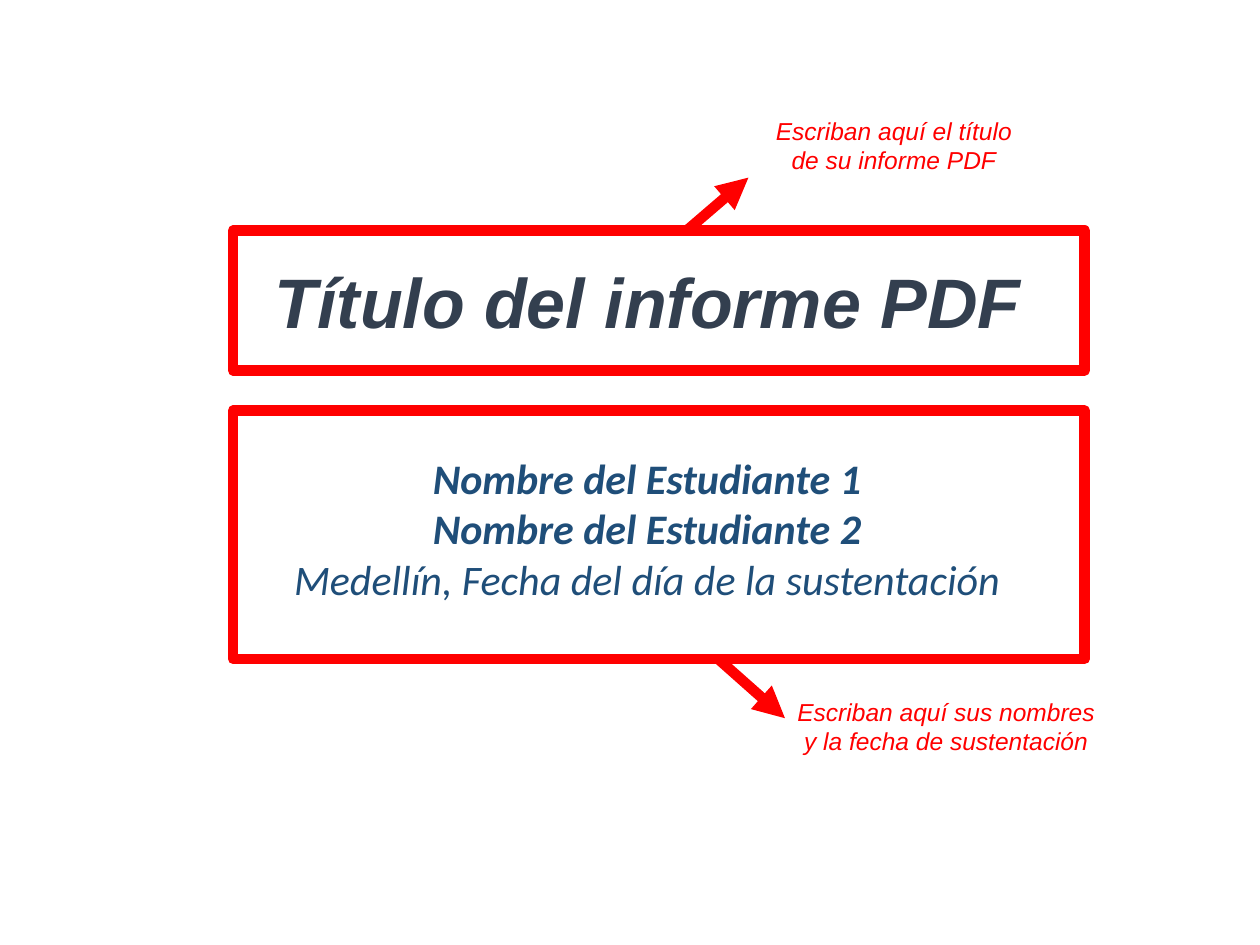
from lxml.etree import SubElement
from pptx import Presentation
from pptx.dml.color import RGBColor
from pptx.enum.shapes import MSO_CONNECTOR, MSO_SHAPE
from pptx.enum.text import MSO_ANCHOR as Anchor, MSO_AUTO_SIZE as AutoSize, PP_ALIGN as Align
from pptx.oxml.ns import qn
from pptx.util import Inches, Pt

COLORS = {"title": "333F4F", "names": "1F4E79", "mark": "FF0000"}
COLUMNS, ROWS = 100, 75
MARK_WIDTH = Pt(6)
FRAME_LEFT, FRAME_WIDTH = 18.5, 67.6
TITLE_TOP, TITLE_HEIGHT = 18.3, 11.1
NAMES_TOP, NAMES_HEIGHT = 32.6, 19.7


class CoverBuilder:
    """Places elements on a page measured in grid columns and rows."""

    def __init__(self, deck):
        self.column = deck.slide_width / COLUMNS
        self.row = deck.slide_height / ROWS
        self.page = deck.slides.add_slide(deck.slide_layouts[5])

    def grid(self, *lengths):
        """Turn alternating columns and rows into slide lengths."""
        units = (self.column, self.row)
        return [round(length * units[i % 2]) for i, length in enumerate(lengths)]

    def fill_text(self, box, lines, size, color, font="Arial", bold_lines=0):
        frame = box.text_frame
        frame.word_wrap = True
        frame.text = "\n".join(lines)
        for index, para in enumerate(frame.paragraphs):
            para.alignment = Align.CENTER
            para.font.name = font
            para.font.size = Pt(size)
            para.font.bold = index < bold_lines
            para.font.italic = True
            para.font.color.rgb = RGBColor.from_string(COLORS[color])
        return frame

    def title(self, text, *area):
        box = self.page.shapes.title
        box.left, box.top, box.width, box.height = self.grid(*area)
        frame = self.fill_text(box, [text], 40, "title", bold_lines=1)
        frame.auto_size = AutoSize.NONE
        frame.vertical_anchor = Anchor.BOTTOM
        frame.margin_bottom = Inches(0.35)

    def names(self, lines, *area):
        box = self.page.shapes.add_textbox(*self.grid(*area))
        frame = self.fill_text(box, lines, 24, "names", "Calibri", bold_lines=2)
        frame.margin_top = Inches(0.36)

    def note(self, text, *area):
        box = self.page.shapes.add_textbox(*self.grid(*area))
        frame = self.fill_text(box, [text], 14, "mark")
        frame.auto_size = AutoSize.SHAPE_TO_FIT_TEXT

    def mark(self, line):
        line.color.rgb = RGBColor.from_string(COLORS["mark"])
        line.width = MARK_WIDTH

    def frame(self, top, height):
        area = self.grid(FRAME_LEFT, top, FRAME_WIDTH, height)
        box = self.page.shapes.add_shape(MSO_SHAPE.RECTANGLE, *area)
        box.shadow.inherit = False
        box.fill.background()
        self.mark(box.line)

    def arrow(self, *ends):
        arrow = self.page.shapes.add_connector(MSO_CONNECTOR.STRAIGHT, *self.grid(*ends))
        self.mark(arrow.line)
        properties = arrow.element.spPr
        SubElement(properties.find(qn("a:ln")), qn("a:tailEnd"), type="triangle")
        SubElement(properties, qn("a:effectLst"))


def main():
    deck = Presentation()
    deck.slide_width, deck.slide_height = Inches(10), Inches(7.5)
    cover = CoverBuilder(deck)

    cover.title("Título del informe PDF", 8.9, 14.6, 85, 16.1)
    cover.names(
        [
            "Nombre del Estudiante 1",
            "Nombre del Estudiante 2",
            "Medellín, Fecha del día de la sustentación",
        ],
        5.1, 32.3, 92.5, 20.5,
    )

    cover.frame(TITLE_TOP, TITLE_HEIGHT)
    cover.note("Escriban aquí el título de su informe PDF", 59.4, 8.7, 23.1, 5.7)
    cover.arrow(54.5, TITLE_TOP, 59.4, 14.1)

    cover.frame(NAMES_TOP, NAMES_HEIGHT)
    cover.arrow(57, NAMES_TOP + NAMES_HEIGHT, 62.3, 57)
    cover.note("Escriban aquí sus nombres y la fecha de sustentación", 62.3, 54.8, 25.6, 5.7)

    deck.save("out.pptx")


if __name__ == "__main__":
    main()
